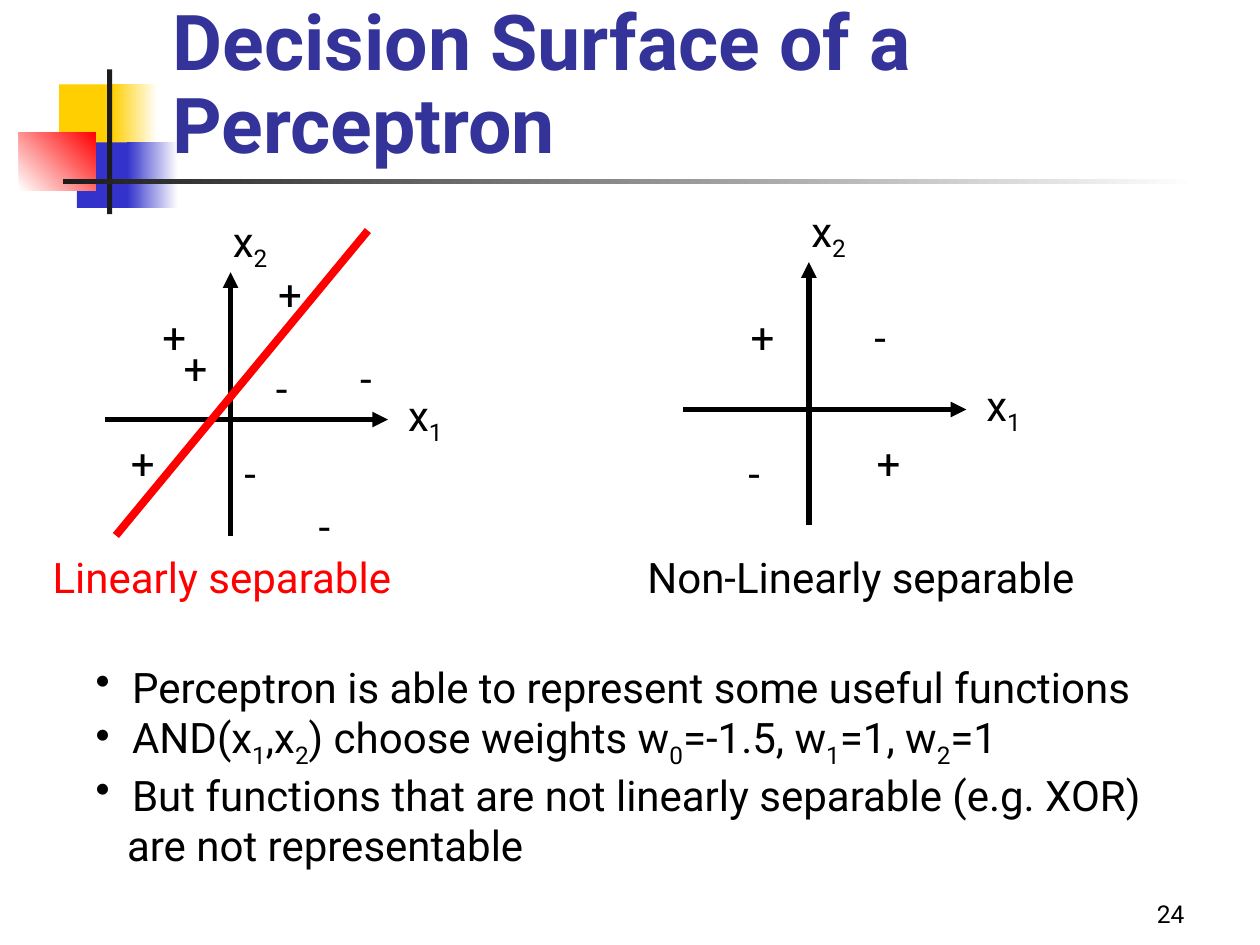
import dataclasses

import lxml.etree
import pptx
import pptx.dml.color
import pptx.enum.shapes
import pptx.enum.text
import pptx.oxml.ns
import pptx.util

EMU_PER_PX = 9144


def px(length):
    return pptx.util.Emu(length * EMU_PER_PX)


def rgb(value):
    return pptx.dml.color.RGBColor.from_string(value)


@dataclasses.dataclass(frozen=True)
class Theme:
    font: str = "Roboto"
    title_size: int = 44
    body_size: int = 24
    number_size: int = 14
    ink: str = "000000"
    paper: str = "FFFFFF"
    title: str = "333399"
    red: str = "FF0000"
    yellow: str = "FFCF01"
    blue: str = "3333CC"
    bar: str = "1C1C1C"


class SlideBuilder:
    """Draws styled elements on one slide, with lengths in hundredths of an inch."""

    def __init__(self, presentation, theme):
        self.theme = theme
        self.slide = presentation.slides.add_slide(presentation.slide_layouts[6])

    def add_child(self, parent, tag, **attributes):
        return lxml.etree.SubElement(parent, pptx.oxml.ns.qn(tag), attributes)

    def block(self, box, color, end_color=None, angle=0):
        shape = self.slide.shapes.add_shape(
            pptx.enum.shapes.MSO_SHAPE.RECTANGLE, *map(px, box))
        shape.shadow.inherit = False
        shape.line.fill.background()
        if end_color is None:
            shape.fill.solid()
            shape.fill.fore_color.rgb = rgb(color)
            return
        shape.fill.gradient()
        shape.fill.gradient_angle = angle
        for stop, stop_color in zip(shape.fill.gradient_stops, (color, end_color)):
            stop.color.rgb = rgb(stop_color)

    def line(self, start, end, color, width, arrow=False):
        connector = self.slide.shapes.add_connector(
            pptx.enum.shapes.MSO_CONNECTOR.STRAIGHT, *map(px, start + end))
        connector.line.color.rgb = rgb(color)
        connector.line.width = pptx.util.Pt(width)
        properties = connector._element.spPr
        if arrow:
            outline = properties.find(pptx.oxml.ns.qn("a:ln"))
            self.add_child(outline, "a:headEnd", type="triangle")
        self.add_child(properties, "a:effectLst")

    def text_box(self, box, wrap=False, anchor="TOP"):
        frame = self.slide.shapes.add_textbox(*map(px, box)).text_frame
        auto_size = pptx.enum.text.MSO_AUTO_SIZE
        formats = {
            "word_wrap": wrap,
            "auto_size": auto_size.NONE if wrap else auto_size.SHAPE_TO_FIT_TEXT,
            "vertical_anchor": pptx.enum.text.MSO_ANCHOR[anchor],
        }
        for name, value in formats.items():
            setattr(frame, name, value)
        return frame

    def add_text(self, paragraph, text, color=None, size=None, bold=False):
        first, *rest = text.split("_")
        pieces = [(first, False)]
        for part in rest:
            pieces += [(part[0], True), (part[1:], False)]
        formats = {
            "name": self.theme.font,
            "size": pptx.util.Pt(size or self.theme.body_size),
            "bold": bold,
        }
        for piece, lowered in pieces:
            if not piece:
                continue
            run = paragraph.add_run()
            run.text = piece
            for name, value in formats.items():
                setattr(run.font, name, value)
            run.font.color.rgb = rgb(color or self.theme.ink)
            if lowered:
                run._r.get_or_add_rPr().set("baseline", "-25000")

    def label(self, box, text, color=None):
        self.add_text(self.text_box(box).paragraphs[0], text, color)

    def title(self, box, text):
        paragraph = self.text_box(box, wrap=True, anchor="BOTTOM").paragraphs[0]
        paragraph.line_spacing = 0.9
        self.add_text(paragraph, text, self.theme.title, self.theme.title_size, bold=True)

    def page_number(self, box, text):
        paragraph = self.text_box(box, wrap=True, anchor="BOTTOM").paragraphs[0]
        paragraph.alignment = pptx.enum.text.PP_ALIGN.RIGHT
        self.add_text(paragraph, text, size=self.theme.number_size)

    def bullets(self, box, items, continuation):
        frame = self.text_box(box)
        for index, text in enumerate(items):
            paragraph = frame.add_paragraph() if index else frame.paragraphs[0]
            properties = paragraph._p.get_or_add_pPr()
            properties.set("marL", str(px(29)))
            properties.set("indent", str(px(-29)))
            bullet_color = self.add_child(properties, "a:buClr")
            self.add_child(bullet_color, "a:srgbClr", val=self.theme.ink)
            self.add_child(properties, "a:buChar", char="•")
            self.add_text(paragraph, text)
        paragraph = frame.add_paragraph()
        paragraph._p.get_or_add_pPr().set("marL", str(px(25)))
        self.add_text(paragraph, continuation)

    def plot(self, origin, pluses, minuses):
        x, y = origin
        self.line((x, y - 117), (x, y + 92), self.theme.ink, 3, arrow=True)
        self.line((x + 125, y), (x - 100, y), self.theme.ink, 3, arrow=True)
        for sign, width, corners in (("+", 39, pluses), ("-", 31, minuses)):
            for corner in corners:
                self.label((*corner, width, 50), sign)
        self.label((x + 131, y - 29, 48, 56), "x_1")
        self.label((x - 8, y - 167, 48, 56), "x_2")


def main():
    presentation = pptx.Presentation()
    presentation.slide_width, presentation.slide_height = px(1000), px(750)
    theme = Theme()
    builder = SlideBuilder(presentation, theme)

    builder.block((47, 67, 48, 52), theme.yellow)
    builder.block((89, 67, 36, 52), theme.yellow, theme.paper)
    builder.block((61, 113, 46, 52), theme.blue)
    builder.block((101, 113, 40, 52), theme.blue, theme.paper)
    builder.block((15, 105, 61, 46), theme.paper, theme.red, angle=45)
    builder.block((85, 55, 4, 115), theme.bar)
    builder.block((50, 142, 900, 4), theme.bar, theme.paper)

    builder.page_number((742, 692, 208, 50), "24")
    builder.title((127, 42, 852, 98), "Decision Surface of a Perceptron")

    builder.plot((183, 333),
                 pluses=[(211, 208), (136, 267), (119, 242), (94, 342)],
                 minuses=[(184, 350), (209, 283), (243, 392), (276, 275)])
    builder.line((92, 425), (292, 183), theme.red, 4.5)
    builder.plot((642, 325),
                 pluses=[(586, 242), (686, 342)],
                 minuses=[(584, 350), (684, 242)])

    builder.bullets((66, 520, 899, 176), [
        "Perceptron is able to represent some useful functions",
        "AND(x_1,x_2) choose weights w_0=-1.5, w_1=1, w_2=1",
        "But functions that are not linearly separable (e.g. XOR)",
    ], "are not representable")
    builder.label((32, 433, 306, 50), "Linearly separable", theme.red)
    builder.label((504, 433, 383, 50), "Non-Linearly separable")

    presentation.save("out.pptx")


if __name__ == "__main__":
    main()
